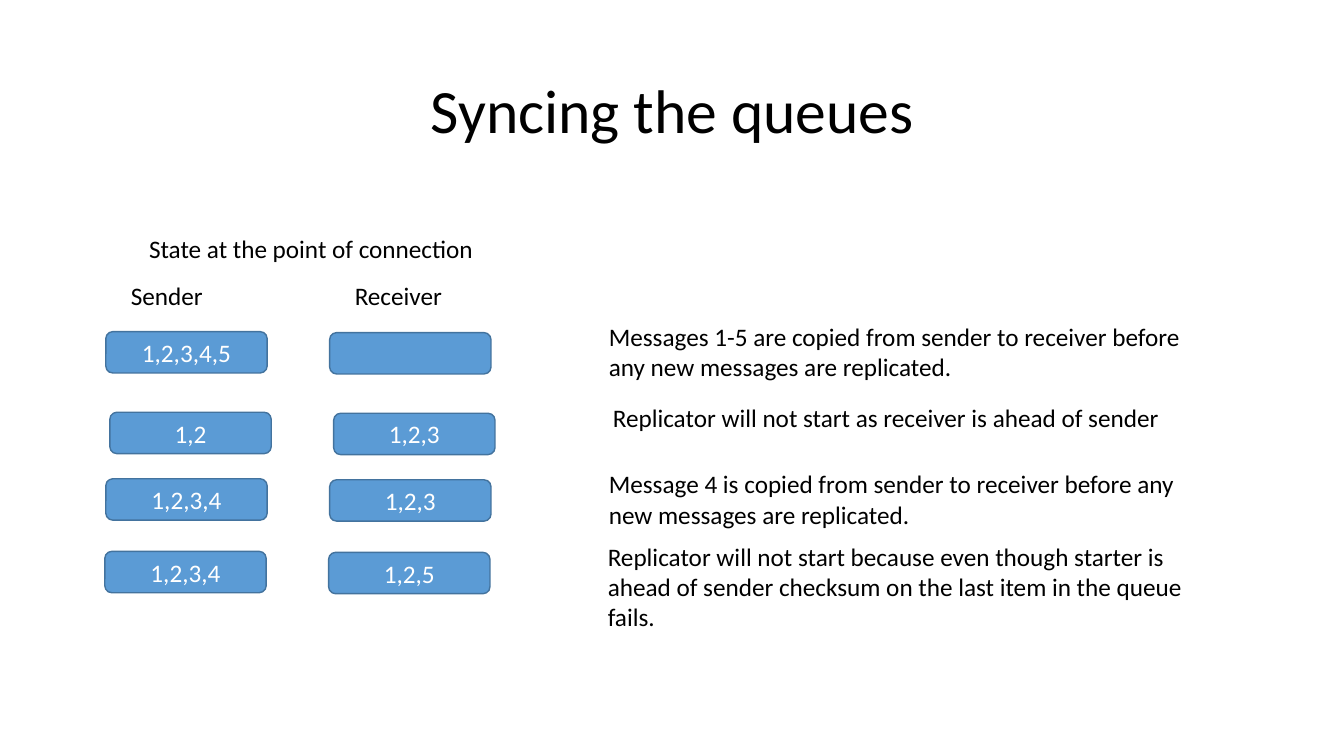
from pptx import Presentation
from pptx.dml.color import RGBColor
from pptx.enum.shapes import MSO_SHAPE as Preset
from pptx.enum.text import MSO_ANCHOR as Anchor, MSO_AUTO_SIZE as AutoSize, PP_ALIGN as Align
from pptx.util import Inches, Pt

BLACK = RGBColor(0x00, 0x00, 0x00)
WHITE = RGBColor(0xFF, 0xFF, 0xFF)
QUEUE_FILL = RGBColor(0x5B, 0x9B, 0xD5)
QUEUE_LINE = RGBColor(0x43, 0x73, 0x9E)
FONT = "Calibri"

# Offsets inside a scenario row, from the sender queue's top left corner
RECEIVER_LEFT = 2.22
OUTCOME_LEFT, OUTCOME_TOP = 4.89, -0.15
LINE_HEIGHT, TEXT_PADDING = 0.3, 0.1

# Left, top, sender queue, receiver queue, outcome, lines of outcome text
SCENARIOS = [
    (1.05, 3.29, "1,2,3,4,5", "",
     "Messages 1-5 are copied from sender to receiver before any new messages are replicated.", 2),
    (1.09, 4.09, "1,2", "1,2,3",
     "Replicator will not start as receiver is ahead of sender", 1),
    (1.05, 4.75, "1,2,3,4", "1,2,3",
     "Message 4 is copied from sender to receiver before any new messages are replicated.", 2),
    (1.04, 5.47, "1,2,3,4", "1,2,5",
     "Replicator will not start because even though starter is ahead of sender "
     "checksum on the last item in the queue fails.", 3),
]


def write(shape, text, size, color, align):
    shape.text_frame.text = text
    para = shape.text_frame.paragraphs[0]
    para.alignment = align
    for span in para.runs:
        span.font.name = FONT
        span.font.size = Pt(size)
        span.font.color.rgb = color
    return para


def add_title(page, left, top, width, height):
    title = page.shapes.title
    title.left, title.top = Inches(left), Inches(top)
    title.width, title.height = Inches(width), Inches(height)
    para = write(title, "Syncing the queues", 44, BLACK, Align.CENTER)
    para.line_spacing = 0.9
    title.text_frame.vertical_anchor = Anchor.MIDDLE


def add_label(page, left, top, width, text, lines=1):
    height = lines * LINE_HEIGHT + TEXT_PADDING
    box = page.shapes.add_textbox(Inches(left), Inches(top), Inches(width), Inches(height))
    write(box, text, 18, BLACK, Align.LEFT)
    box.text_frame.word_wrap = True
    box.text_frame.auto_size = AutoSize.SHAPE_TO_FIT_TEXT


def add_queue(page, left, top, messages):
    queue = page.shapes.add_shape(Preset.ROUNDED_RECTANGLE, Inches(left), Inches(top),
                                  Inches(1.6), Inches(0.41))
    queue.shadow.inherit = False
    queue.fill.solid()
    queue.fill.fore_color.rgb = QUEUE_FILL
    queue.line.color.rgb = QUEUE_LINE
    queue.line.width = Pt(1)
    write(queue, messages, 18, WHITE, Align.CENTER)
    queue.text_frame.vertical_anchor = Anchor.MIDDLE


def add_headings(page, left, top):
    add_label(page, left + 0.18, top, 3.58, "State at the point of connection")
    for column, name in enumerate(("Sender", "Receiver")):
        add_label(page, left + column * RECEIVER_LEFT, top + 0.46, 2.02, name)


def add_scenario(page, left, top, sender, receiver, outcome, lines):
    add_queue(page, left, top, sender)
    add_queue(page, left + RECEIVER_LEFT, top + 0.01, receiver)
    add_label(page, left + OUTCOME_LEFT, top + OUTCOME_TOP, 6.14, outcome, lines)


deck = Presentation()
deck.slide_width, deck.slide_height = Inches(13.33), Inches(7.5)
page = deck.slides.add_slide(deck.slide_layouts[5])
page.background.fill.solid()
page.background.fill.fore_color.rgb = WHITE

add_title(page, 0.92, 0.4, 11.5, 1.45)
add_headings(page, 1.2, 2.27)
for scenario in SCENARIOS:
    add_scenario(page, *scenario)

deck.save("out.pptx")
